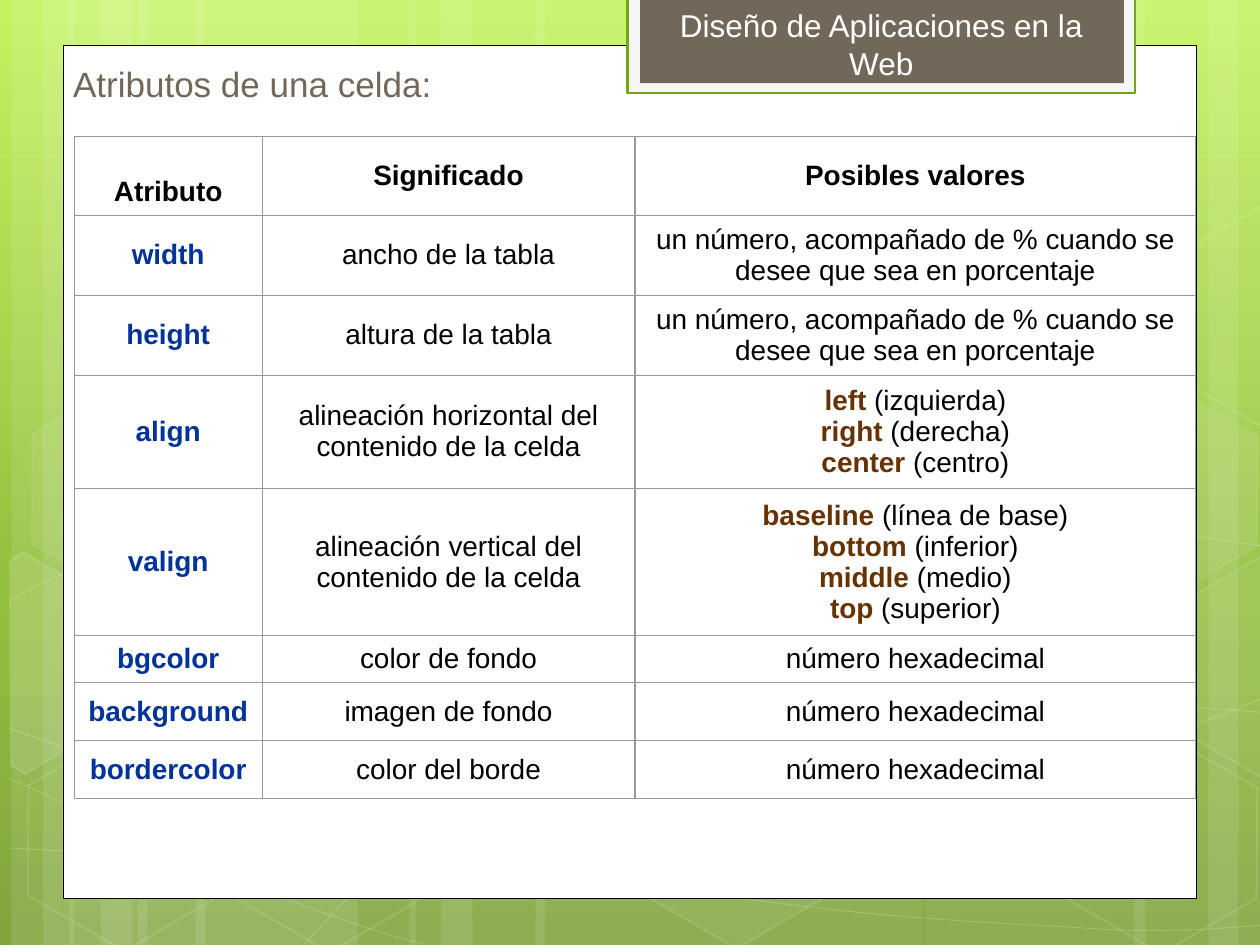
import math
import lxml.etree
import pptx
import pptx.dml.color
import pptx.enum.shapes
import pptx.enum.text
import pptx.oxml.ns
import pptx.util
from copy import deepcopy

Inches = pptx.util.Inches
RGBColor = pptx.dml.color.RGBColor
qn = pptx.oxml.ns.qn
SHAPE = pptx.enum.shapes.MSO_SHAPE
ALIGN = pptx.enum.text.PP_ALIGN
MIDDLE = pptx.enum.text.MSO_ANCHOR.MIDDLE
GROW = pptx.enum.text.MSO_AUTO_SIZE.SHAPE_TO_FIT_TEXT

WHITE = RGBColor(0xFF, 0xFF, 0xFF)
BLACK = RGBColor(0, 0, 0)
PALE = RGBColor(0xF5, 0xF5, 0xF5)
GREEN = RGBColor(0x74, 0xA5, 0x10)
TAUPE = RGBColor(0x71, 0x68, 0x5A)
BLUE = RGBColor(0x00, 0x33, 0x99)
BROWN = RGBColor(0x66, 0x33, 0x00)
GRAY = RGBColor(0x99, 0x99, 0x99)
SKY = ((0, RGBColor(0xC3, 0xF3, 0x5F)), (0.62, RGBColor(0x93, 0xBF, 0x3F)),
       (1, RGBColor(0x81, 0xA5, 0x3E)))


def paint(shape, fill=None, line=None, width=1, veil=100, haze=100):
    """Set fill and line; veil and haze are their opacities in percent."""
    shape.shadow.inherit = False
    for ink, color, alpha in ((shape.fill, fill, veil), (shape.line.fill, line, haze)):
        if color is None:
            ink.background()
            continue
        ink.solid()
        ink.fore_color.rgb = color
        if alpha < 100:
            node = shape.element.spPr.findall(".//" + qn("a:srgbClr"))[-1]
            lxml.etree.SubElement(node, qn("a:alpha"), val=str(alpha * 1000))
    if line is not None:
        shape.line.width = pptx.util.Pt(width)


def write(frame, text, size=16, color=BLACK, bold=False, lead=None, align=ALIGN.CENTER):
    """Write text; a lead colour marks the first word of each line in bold."""
    para = frame.paragraphs[0]
    para.alignment = align
    for row, line in enumerate(text.split("\n")):
        if row:
            para.add_line_break()
        parts = [(line, color, bold)]
        if lead is not None:
            word, gap, rest = line.partition(" ")
            parts = [(word + gap, lead, True), (rest, color, bold)]
        for words, ink, heavy in parts:
            run = para.add_run()
            run.text = words
            run.font.name = "Arial"
            run.font.size = pptx.util.Pt(size)
            run.font.bold = heavy
            run.font.color.rgb = ink


deck = pptx.Presentation()
deck.slide_width, deck.slide_height = Inches(10), Inches(7.5)
slide = deck.slides.add_slide(deck.slide_layouts[5])
shapes = slide.shapes

# Background gradient
back = slide.background.fill
back.gradient()
back.gradient_angle = 270
stops = slide.element.find(".//" + qn("a:gsLst"))
stops.insert(1, deepcopy(stops[0]))
for stop, (place, color) in zip(back.gradient_stops, SKY):
    stop.position = place
    stop.color.rgb = color

# Translucent vertical bands
bands = ((1.09, 1.75), (0.09, 0.5), (0.34, 0.83), (1.55, 1.75), (0.55, 0.5),
         (0.8, 0.83), (7.34, 1.75), (9.59, 0.5), (9, 0.83), (4.25, 3.08),
         (3.25, 0.5), (3.5, 0.83))
for left, width in bands:
    band = shapes.add_shape(SHAPE.RECTANGLE, Inches(left), 0, Inches(width), Inches(7.5))
    paint(band, WHITE, veil=10)

# Thin waves: a start point, then three points for each Bézier curve
waves = (
    ((0.07, 6.73), (0.61, 6.76), (1.15, 6.79), (1.9, 6.78), (2.65, 6.77), (3.58, 6.75),
     (4.58, 6.65), (5.58, 6.55), (7, 6.36), (7.92, 6.17), (8.83, 5.98), (9.77, 5.68),
     (10.07, 5.51)),
    ((0.07, 4.77), (0.36, 4.61), (0.65, 4.46), (1.21, 4.31), (1.78, 4.16), (2.59, 3.94),
     (3.47, 3.87), (4.36, 3.8), (5.44, 3.79), (6.54, 3.87), (7.64, 3.95), (9.47, 4.26),
     (10.07, 4.34)),
    ((0.06, 6.17), (1.27, 6.72), (2.47, 7.27), (3.35, 7.49)),
    ((0.07, 5.78), (0.38, 5.89), (0.7, 6), (1.28, 6.16), (1.86, 6.31), (2.73, 6.56),
     (3.57, 6.73), (4.4, 6.9), (5.45, 7.08), (6.28, 7.18), (7.11, 7.29), (8, 7.33),
     (8.53, 7.36), (9.06, 7.4), (9.19, 7.38), (9.45, 7.38), (9.71, 7.37), (9.89, 7.35),
     (10.07, 7.34)),
    ((2.42, 7.49), (2.6, 7.29), (2.78, 7.09), (3.02, 6.91), (3.26, 6.72), (3.6, 6.53),
     (3.88, 6.39), (4.16, 6.25), (4.33, 6.19), (4.69, 6.09), (5.06, 5.99), (5.73, 5.85),
     (6.08, 5.78), (6.44, 5.71), (6.49, 5.71), (6.8, 5.69), (7.11, 5.66), (7.6, 5.63),
     (7.94, 5.62), (8.29, 5.61), (8.86, 5.62), (8.86, 5.62), (9.08, 5.62), (9.31, 5.62),
     (9.53, 5.62), (9.71, 5.63), (9.88, 5.64), (9.97, 5.65), (10.06, 5.66), (10.03, 5.65),
     (10.06, 5.66)),
)
for wave in waves:
    dots = [(Inches(x), Inches(y)) for x, y in wave]
    pen = shapes.build_freeform(*dots[0])
    pen.add_line_segments(dots[1:], close=False)
    curve = pen.convert_to_shape()
    paint(curve, line=WHITE, width=0.5, haze=20)
    # Join every three straight segments into one Bézier curve
    legs = curve.element.findall(".//" + qn("a:lnTo"))
    for i in range(0, len(legs), 3):
        bend = lxml.etree.Element(qn("a:cubicBezTo"))
        legs[i].addprevious(bend)
        for leg in legs[i:i + 3]:
            bend.append(leg[0])
            leg.getparent().remove(leg)

# Hexagons: left, top, fill opacity, line opacity
hexes = ((3.34, 0.36, 4, 8), (4.97, 5.89, 6, 12), (0.11, 5.91, 0, 12), (0.14, 3.12, 7, 8),
         (1.74, 5.92, 0, 12), (7.53, 4.53, 10, 12), (8.34, 5.93, 0, 12), (8.34, 3.14, 7, 8))
for left, top, veil, haze in hexes:
    cell = shapes.add_shape(SHAPE.HEXAGON, Inches(left), Inches(top), Inches(1.75), Inches(1.52))
    cell.adjustments[0] = 0.285
    cell.rotation = 30
    paint(cell, WHITE if veil else None, WHITE, veil=veil, haze=haze)

# Hexagons cut off by the slide edge: fill opacity, centre, corners once turned
cuts = (
    (10, 0.36 + 5.36j, (0.08 + 4.45j, 0.19 + 4.38j, 0.96 + 4.83j, 0.95 + 5.7j,
                        0.2 + 6.14j, 0.09 + 6.07j)),
    (4, 9.85 + 5.2j, (9.26 + 4.85j, 10.02 + 4.41j, 10.09 + 4.46j, 10.09 + 6.13j,
                      10.02 + 6.17j, 9.26 + 5.73j)),
    (0, 9.85 + 2.41j, (9.26 + 2.07j, 10.02 + 1.63j, 10.1 + 1.68j, 10.09 + 3.35j,
                       10.02 + 3.39j, 9.26 + 2.95j)),
)
turn = complex(math.cos(math.radians(30)), -math.sin(math.radians(30)))
for veil, mid, corners in cuts:
    flat = [mid + (corner - mid) * turn for corner in corners]
    dots = [(Inches(dot.real), Inches(dot.imag)) for dot in flat]
    pen = shapes.build_freeform(*dots[0])
    pen.add_line_segments(dots[1:], close=True)
    cell = pen.convert_to_shape()
    cell.rotation = 30
    paint(cell, WHITE if veil else None, WHITE, veil=veil, haze=12)

# White panel and banner
plates = ((0.5, 0.36, 9, 6.77, WHITE, BLACK, 0.5),
          (4.98, -0.02, 4.03, 0.76, PALE, GREEN, 1.25),
          (5.08, -0.02, 3.84, 0.68, TAUPE, None, 0))
for left, top, width, height, fill, line, weight in plates:
    plate = shapes.add_shape(SHAPE.RECTANGLE, Inches(left), Inches(top),
                             Inches(width), Inches(height))
    paint(plate, fill, line, weight)

label = shapes.add_textbox(Inches(5.16), 0, Inches(3.67), Inches(0.71)).text_frame
label.word_wrap = True
label.auto_size = GROW
write(label, "Diseño de Aplicaciones en la Web", size=18, color=WHITE)

# Title, brought in front of the panel
title = shapes.title
title.element.getparent().append(title.element)
title.left, title.top = Inches(0.48), Inches(0.45)
title.width, title.height = Inches(3.18), Inches(0.43)
title.text_frame.word_wrap = False
title.text_frame.auto_size = GROW
title.text_frame.vertical_anchor = MIDDLE
write(title.text_frame, "Atributos de una celda:", size=20, color=TAUPE, align=ALIGN.LEFT)

# Table of attributes
percent = "un número, acompañado de % cuando se desee que sea en porcentaje"
hexa = "número hexadecimal"
rows = (
    (0.63, "Atributo", "Significado", "Posibles valores"),
    (0.63, "width", "ancho de la tabla", percent),
    (0.63, "height", "altura de la tabla", percent),
    (0.9, "align", "alineación horizontal del contenido de la celda",
     "left (izquierda)\nright (derecha)\ncenter (centro)"),
    (1.17, "valign", "alineación vertical del contenido de la celda",
     "baseline (línea de base)\nbottom (inferior)\nmiddle (medio)\ntop (superior)"),
    (0.37, "bgcolor", "color de fondo", hexa),
    (0.46, "background", "imagen de fondo", hexa),
    (0.46, "bordercolor", "color del borde", hexa),
)
table = shapes.add_table(len(rows), 3, Inches(0.59), Inches(1.08),
                         Inches(8.9), Inches(5.25)).table
table.first_row = table.horz_banding = False
for column, width in zip(table.columns, (1.49, 2.96, 4.45)):
    column.width = Inches(width)
for r, (height, *texts) in enumerate(rows):
    table.rows[r].height = Inches(height)
    for c, text in enumerate(texts):
        cell = table.cell(r, c)
        cell.vertical_anchor = MIDDLE
        for side in ("a:lnL", "a:lnR", "a:lnT", "a:lnB"):
            edge = lxml.etree.SubElement(cell._tc.get_or_add_tcPr(), qn(side), w="9525")
            solid = lxml.etree.SubElement(edge, qn("a:solidFill"))
            lxml.etree.SubElement(solid, qn("a:srgbClr"), val=str(GRAY))
        cell.fill.background()
        write(cell.text_frame, text, color=BLUE if r and c == 0 else BLACK,
              bold=r == 0 or c == 0, lead=BROWN if "\n" in text else None)
table.cell(0, 0).margin_top = Inches(0.3)

deck.save("out.pptx")
